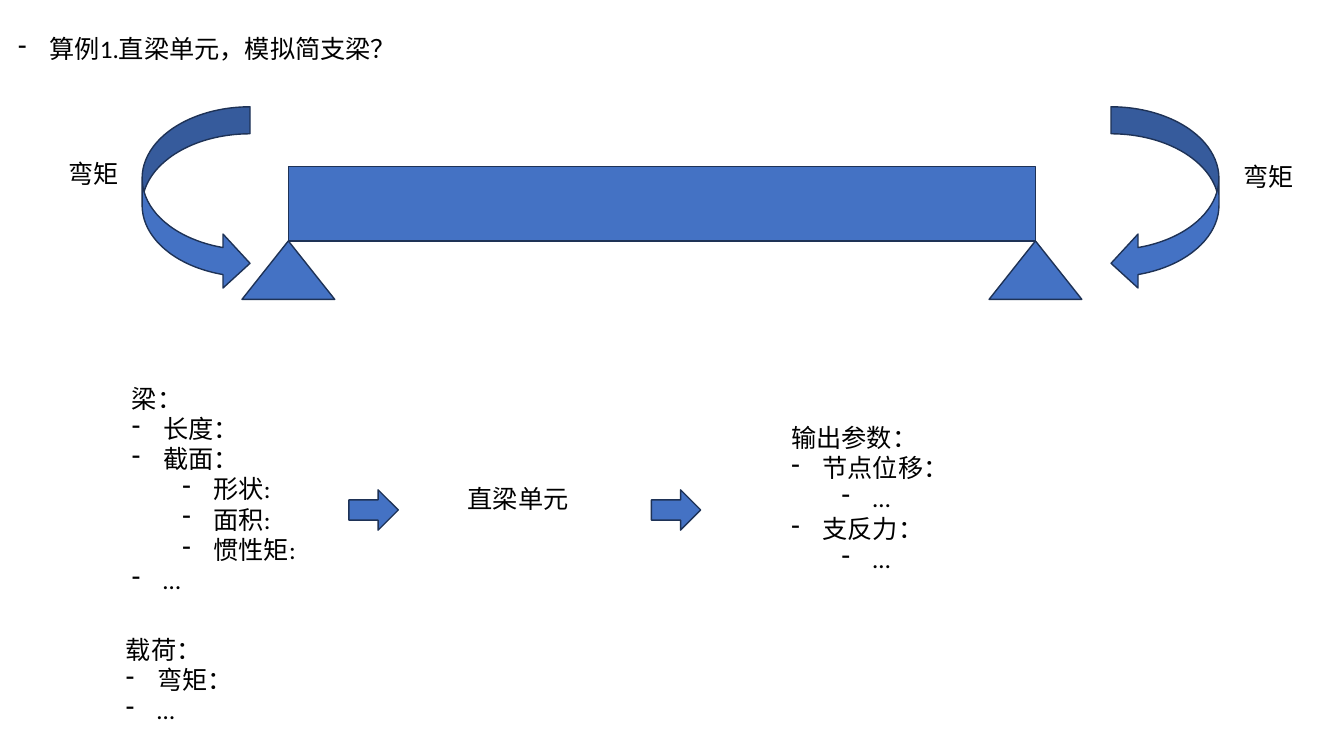
"""Builds a slide on a simply supported beam modelled with straight beam elements."""
import lxml.etree
import pptx
import pptx.dml.color
import pptx.enum.shapes
import pptx.enum.text
import pptx.oxml.ns
import pptx.util

Inches = pptx.util.Inches
Shape = pptx.enum.shapes.MSO_SHAPE


def color(value):
    return pptx.dml.color.RGBColor.from_string(value)


def write(frame, lines):
    frame.word_wrap = True
    frame.vertical_anchor = pptx.enum.text.MSO_ANCHOR.TOP
    frame.auto_size = pptx.enum.text.MSO_AUTO_SIZE.SHAPE_TO_FIT_TEXT
    for number, (depth, wording) in enumerate(lines):
        paragraph = frame.add_paragraph() if number else frame.paragraphs[0]
        paragraph.text = wording
        paragraph.alignment = pptx.enum.text.PP_ALIGN.LEFT
        if depth:
            paragraph.level = depth - 1
            properties = paragraph._p.get_or_add_pPr()
            properties.set("marL", str(Inches(0.31 + 0.5 * (depth - 1))))
            properties.set("indent", str(Inches(-0.31)))
            lxml.etree.SubElement(properties, pptx.oxml.ns.qn("a:buFontTx"))
            lxml.etree.SubElement(properties, pptx.oxml.ns.qn("a:buChar")).set("char", "-")
        paragraph.font.name = "Calibri"
        paragraph.font.size = pptx.util.Pt(18)
        paragraph.font.color.rgb = color("000000")


deck = pptx.Presentation()
deck.slide_width = Inches(13.33)
deck.slide_height = Inches(7.5)
slide = deck.slides.add_slide(deck.slide_layouts[5])

heading = slide.shapes.title
heading.left, heading.top = Inches(0.08), Inches(0.28)
heading.width, heading.height = Inches(6.87), Inches(0.4)
write(heading.text_frame, [(1, "算例1.直梁单元，模拟简支梁？")])

beam_left, beam_width, support_width = 2.86, 7.41, 0.92
diagram = [(Shape.RECTANGLE, beam_left, 1.65, beam_width, 0.74, False)]
for beam_end in (beam_left, beam_left + beam_width):
    diagram.append((Shape.ISOSCELES_TRIANGLE, beam_end - support_width / 2, 2.39, support_width, 0.58, False))
for step_left in (3.46, 6.46):
    diagram.append((Shape.RIGHT_ARROW, step_left, 4.86, 0.49, 0.4, False))
for moment_left, mirrored in ((1.41, False), (11.02, True)):
    diagram.append((Shape.CURVED_RIGHT_ARROW, moment_left, 1.06, 1.07, 1.82, mirrored))

for kind, left, top, width, height, mirrored in diagram:
    part = slide.shapes.add_shape(kind, Inches(left), Inches(top), Inches(width), Inches(height))
    part.shadow.inherit = False
    part.fill.solid()
    part.fill.fore_color.rgb = color("4472C4")
    part.line.color.rgb = color("1E3256")
    part.line.width = pptx.util.Pt(1)
    if mirrored:
        part.element.spPr.get_or_add_xfrm().set("flipH", "1")

beam_inputs = [
    (0, "梁："), (1, "长度："), (1, "截面："),
    (2, "形状:"), (2, "面积:"), (2, "惯性矩:"), (1, "…"),
]
outputs = [(0, "输出参数："), (1, "节点位移："), (2, "…"), (1, "支反力："), (2, "…")]
loads = [(0, "载荷："), (1, "弯矩："), (1, "…")]
notes = [
    (1.21, 3.75, 2.31, 2.22, beam_inputs),
    (4.54, 4.75, 1.34, 0.4, [(0, "直梁单元")]),
    (7.75, 4.14, 2.31, 1.62, outputs),
    (1.15, 6.24, 2.31, 1.01, loads),
    (0.58, 1.52, 0.75, 0.4, [(0, "弯矩")]),
    (12.23, 1.55, 0.75, 0.4, [(0, "弯矩")]),
]
for left, top, width, height, lines in notes:
    note = slide.shapes.add_textbox(Inches(left), Inches(top), Inches(width), Inches(height))
    write(note.text_frame, lines)

deck.save("out.pptx")
